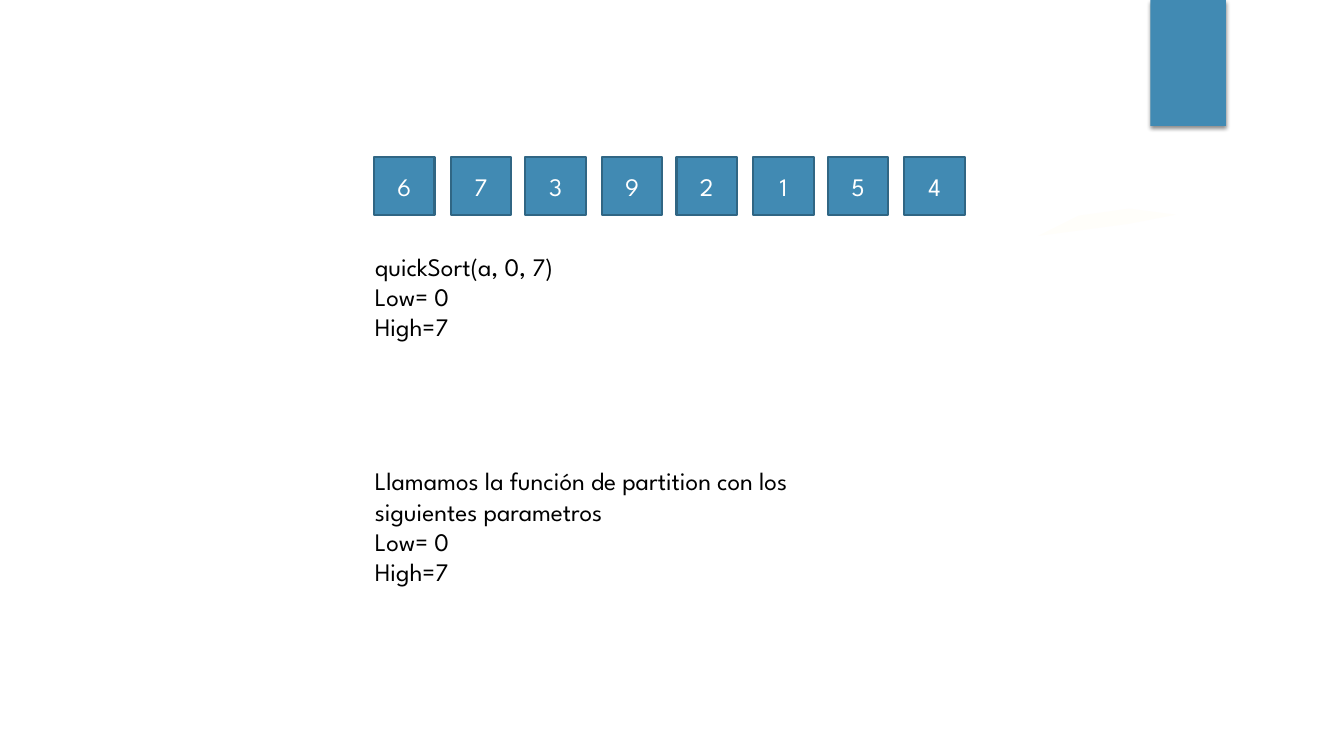
import pptx
import pptx.dml.color
import pptx.enum.shapes
import pptx.enum.text
import pptx.oxml
import pptx.util
from pptx.util import Inches

COLOURS = {"blue": "418AB3", "edge": "306684", "white": "FFFFFF",
           "black": "000000", "glow": "FFFEFA"}
SHADOW = (
    '<a:effectLst xmlns:a="http://schemas.openxmlformats.org/drawingml/2006/main">'
    '<a:outerShdw blurRad="38100" dist="25400" dir="5400000" rotWithShape="0">'
    '<a:srgbClr val="000000"><a:alpha val="45000"/></a:srgbClr>'
    '</a:outerShdw></a:effectLst>')


def colour(name):
    return pptx.dml.color.RGBColor.from_string(COLOURS[name])


class SlideBuilder:
    def __init__(self, slide):
        self.shapes = slide.shapes
        self.font = {"name": "League Spartan", "size": pptx.util.Pt(18)}

    def style_text(self, para, text, ink):
        span = para.add_run()
        span.text = text
        for key, value in self.font.items():
            setattr(span.font, key, value)
        span.font.color.rgb = colour(ink)

    def paint(self, shape, fill):
        shape.shadow.inherit = False
        shape.fill.solid()
        shape.fill.fore_color.rgb = colour(fill)
        shape.line.fill.background()

    def rectangle(self, left, top, width, height):
        box = self.shapes.add_shape(
            pptx.enum.shapes.MSO_SHAPE.RECTANGLE,
            Inches(left), Inches(top), Inches(width), Inches(height))
        self.paint(box, "blue")
        return box

    def corner_tab(self, left, top, width, height):
        """Draw the page tab with a soft shadow below it."""
        tab = self.rectangle(left, top, width, height)
        properties = tab.element.spPr
        properties.remove(properties[-1])
        properties.append(pptx.oxml.parse_xml(SHADOW))

    def glow(self, points):
        """Draw the faint warm patch at the right of the page."""
        start, *others = [(Inches(x), Inches(y)) for x, y in points]
        outline = self.shapes.build_freeform(*start)
        outline.add_line_segments(others, close=True)
        self.paint(outline.convert_to_shape(), "glow")

    def array_cell(self, left, top, width, height, value):
        cell = self.rectangle(left, top, width, height)
        cell.line.color.rgb = colour("edge")
        cell.line.width = pptx.util.Pt(1.5)
        cell.text_frame.vertical_anchor = pptx.enum.text.MSO_ANCHOR.MIDDLE
        para = cell.text_frame.paragraphs[0]
        para.alignment = pptx.enum.text.PP_ALIGN.CENTER
        self.style_text(para, str(value), "white")

    def text(self, left, top, width, height, lines):
        box = self.shapes.add_textbox(
            Inches(left), Inches(top), Inches(width), Inches(height))
        frame = box.text_frame
        frame.word_wrap = True
        for index, line in enumerate(lines):
            para = frame.add_paragraph() if index else frame.paragraphs[0]
            self.style_text(para, line, "black")


def main():
    deck = pptx.Presentation()
    deck.slide_width, deck.slide_height = Inches(13.33), Inches(7.5)
    page = SlideBuilder(deck.slides.add_slide(deck.slide_layouts[6]))

    page.glow([(10.3, 2.34), (10.7, 2.14), (11.2, 2.07), (11.66, 2.13), (11.2, 2.22)])
    page.corner_tab(11.41, 0, 0.75, 1.25)

    # Cells stand in pairs: 1.5 between pairs, 0.76 within a pair.
    for index, value in enumerate([6, 7, 3, 9, 2, 1, 5, 4]):
        pair, second = divmod(index, 2)
        page.array_cell(3.71 + 1.5 * pair + 0.76 * second, 1.56, 0.6, 0.57, value)

    bounds = ["Low= 0", "High=7"]
    page.text(3.62, 2.44, 2.24, 1.01, ["quickSort(a, 0, 7)", *bounds])
    page.text(3.62, 4.57, 5.23, 1.31,
              ["Llamamos la función de partition con los",
               "siguientes parametros", *bounds])
    deck.save("out.pptx")


if __name__ == "__main__":
    main()
